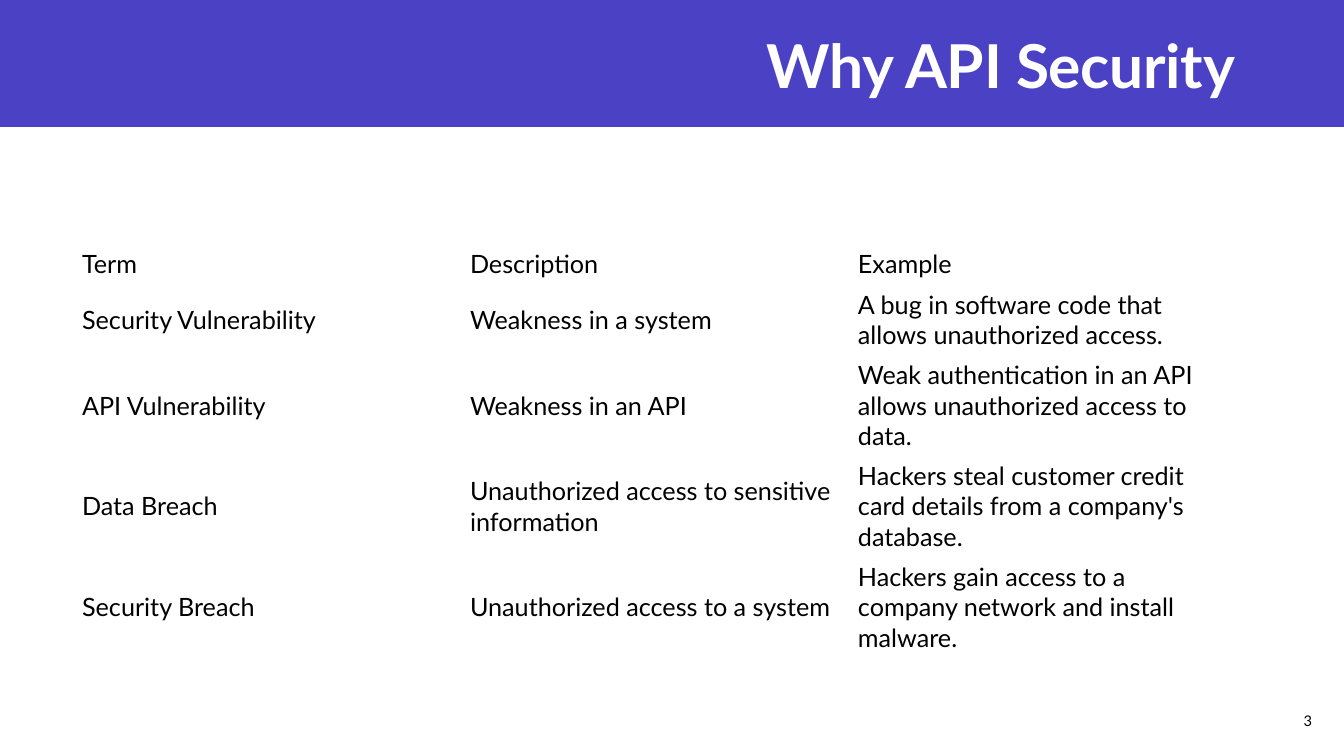
from dataclasses import dataclass

from pptx import Presentation
from pptx.dml.color import RGBColor
from pptx.enum.shapes import MSO_SHAPE as Shape
from pptx.enum.text import MSO_ANCHOR as Anchor, PP_ALIGN as Align
from pptx.util import Pt

EMU_PER_PX = 914400 / 100.8
PAGE_WIDTH, PAGE_HEIGHT = 1344, 756


@dataclass(frozen=True)
class Theme:
    font: str = "Lato"
    banner: RGBColor = RGBColor(0x4A, 0x41, 0xC5)
    light: RGBColor = RGBColor(0xFF, 0xFF, 0xFF)
    dark: RGBColor = RGBColor(0x00, 0x00, 0x00)
    title_size: float = 43.2
    body_size: float = 18
    number_size: float = 10.5


def px(length):
    return round(length * EMU_PER_PX)


class SlideBuilder:
    def __init__(self, page, theme):
        self.page = page
        self.theme = theme

    def add_span(self, frame, text, size, color, align=Align.LEFT, bold=False):
        para = frame.paragraphs[0]
        para.alignment = align
        span = para.add_run()
        span.text = text
        style = {"name": self.theme.font, "size": Pt(size), "bold": bold}
        for name, value in style.items():
            setattr(span.font, name, value)
        span.font.color.rgb = color
        return span

    def banner(self, left, top, width, height):
        box = self.page.shapes.add_shape(
            Shape.RECTANGLE, *map(px, (left, top, width, height)))
        box.shadow.inherit = False
        box.fill.solid()
        box.fill.fore_color.rgb = self.theme.banner
        box.line.fill.background()

    def text(self, left, top, width, height, text, size, color, bold=False):
        box = self.page.shapes.add_textbox(*map(px, (left, top, width, height)))
        frame = box.text_frame
        frame.word_wrap = True
        frame.vertical_anchor = Anchor.MIDDLE
        return self.add_span(frame, text, size, color, Align.RIGHT, bold)

    def table(self, left, top, column_width, rows, line_counts):
        line_height, padding = 30, 10
        heights = [count * line_height + padding for count in line_counts]
        columns = len(rows[0])
        table = self.page.shapes.add_table(
            len(rows), columns, px(left), px(top),
            px(column_width * columns), px(sum(heights))).table
        for name in ("first_row", "horz_banding"):
            setattr(table, name, False)
        for column in table.columns:
            column.width = px(column_width)
        for row, height, texts in zip(table.rows, heights, rows):
            row.height = px(height)
            for cell, text in zip(row.cells, texts):
                cell.fill.background()
                cell.vertical_anchor = Anchor.MIDDLE
                self.add_span(cell.text_frame, text,
                              self.theme.body_size, self.theme.dark)


TERMS = [
    ("Term", "Description", "Example"),
    ("Security Vulnerability", "Weakness in a system",
     "A bug in software code that allows unauthorized access."),
    ("API Vulnerability", "Weakness in an API",
     "Weak authentication in an API allows unauthorized access to data."),
    ("Data Breach", "Unauthorized access to sensitive information",
     "Hackers steal customer credit card details from a company's database."),
    ("Security Breach", "Unauthorized access to a system",
     "Hackers gain access to a company network and install malware."),
]


def main():
    deck = Presentation()
    deck.slide_width, deck.slide_height = px(PAGE_WIDTH), px(PAGE_HEIGHT)
    theme = Theme()
    builder = SlideBuilder(deck.slides.add_slide(deck.slide_layouts[6]), theme)

    # Title banner
    builder.banner(0, 0, PAGE_WIDTH, 127)
    title = builder.text(138, 21, 1107, 86, "Why API Security",
                         theme.title_size, theme.light, bold=True)
    title.font._element.set("spc", "-20")

    # Table of terms
    builder.table(72, 244, 388, TERMS, line_counts=(1, 2, 3, 3, 3))

    # Page number
    builder.text(1253, 701, 69, 40, "3", theme.number_size, theme.dark)

    deck.save("out.pptx")


if __name__ == "__main__":
    main()
